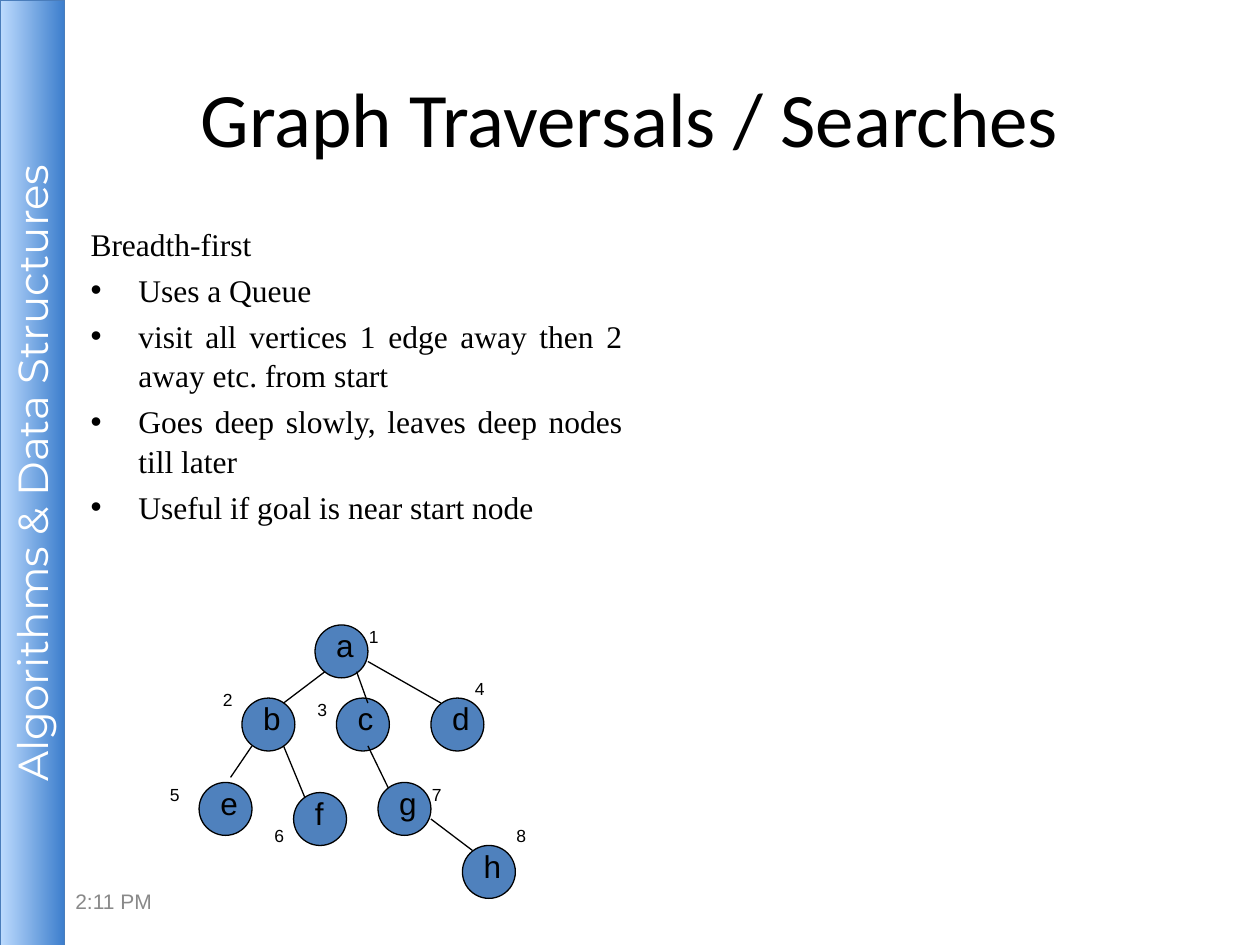
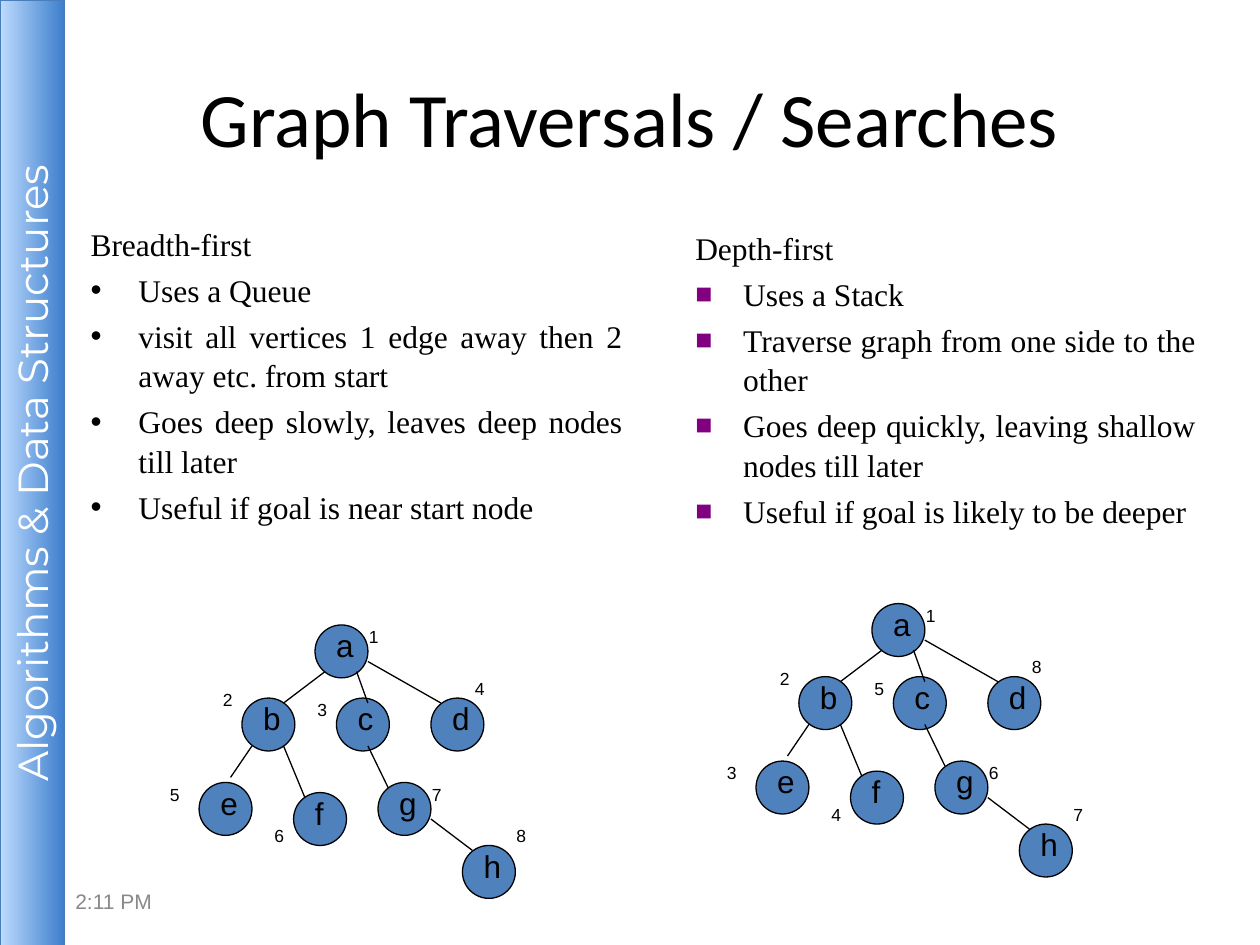
from lxml import etree
from pptx import Presentation
from pptx.dml.color import RGBColor
from pptx.enum.shapes import MSO_CONNECTOR, MSO_SHAPE
from pptx.enum.text import MSO_ANCHOR, MSO_AUTO_SIZE, PP_ALIGN
from pptx.oxml.ns import qn
from pptx.util import Inches, Pt

OVAL, RECT = MSO_SHAPE.OVAL, MSO_SHAPE.RECTANGLE
STRAIGHT = MSO_CONNECTOR.STRAIGHT
MIDDLE = MSO_ANCHOR.MIDDLE
GROW = MSO_AUTO_SIZE.SHAPE_TO_FIT_TEXT
LEFT, CENTER, JUSTIFY = PP_ALIGN.LEFT, PP_ALIGN.CENTER, PP_ALIGN.JUSTIFY

COLORS = {
    "ink": "000000",
    "white": "FFFFFF",
    "node": "4F81BD",
    "light": "BDDBFE",
    "dark": "3E7FCD",
    "edge": "4A7DBB",
    "time": "898989",
    "mark": "800080",
}

# Tree layout, measured from the tree's top left corner.
NODE = 0.42
NODES = {
    "a": (1.25, 0.04),
    "b": (0.67, 0.62),
    "c": (1.42, 0.62),
    "d": (2.17, 0.62),
    "e": (0.33, 1.29),
    "f": (1.08, 1.37),
    "g": (1.75, 1.29),
    "h": (2.42, 1.79),
}
EDGES = [
    (1.33, 0.41, 1, 0.66),
    (0.75, 1, 0.58, 1.25),
    (1.58, 0.41, 1.67, 0.66),
    (1.67, 0.33, 2.25, 0.66),
    (1, 1, 1.17, 1.41),
    (1.67, 1, 1.83, 1.33),
    (2.17, 1.58, 2.5, 1.83),
]
RANKS = {
    "a": (1.58, 0),
    "b": (0.42, 0.5),
    "c": (1.17, 0.58),
    "d": (2.42, 0.41),
    "e": (0, 1.25),
    "f": (0.83, 1.58),
    "g": (2.08, 1.25),
    "h": (2.75, 1.58),
}

BREADTH = {
    "box": (0.62, 1.72, 4.42, 4.95),
    "head": "Breadth-first",
    "points": [
        "Uses a Queue",
        "visit all vertices 1 edge away then 2 away etc. from start",
        "Goes deep slowly, leaves deep nodes till later",
        "Useful if goal is near start node",
    ],
    "bullet": "•",
    "tint": "ink",
    "scale": 100,
    "tree": (1.25, 4.92),
    "order": "abcdefgh",
}
DEPTH = {
    "box": (5.42, 1.75, 4.17, 4.95),
    "head": "Depth-first",
    "points": [
        "Uses a Stack",
        "Traverse graph from one side to the other",
        "Goes deep quickly, leaving shallow nodes till later",
        "Useful if goal is likely to be deeper",
    ],
    "bullet": "■",
    "tint": "mark",
    "scale": 90,
    "tree": (5.67, 4.75),
    "order": "abefcghd",
}


def color(name):
    return RGBColor.from_string(COLORS[name])


def inches(*sizes):
    return [Inches(size) for size in sizes]


def style(para, size, font, tint="ink", align=LEFT):
    para.alignment = align
    for run in para.runs:
        run.font.size = Pt(size)
        run.font.name = font
        run.font.color.rgb = color(tint)


def add_text(shapes, box, text, size, font="Arial", tint="ink", align=LEFT):
    frame = shapes.add_textbox(*inches(*box)).text_frame
    frame.word_wrap = True
    frame.text = text
    style(frame.paragraphs[0], size, font, tint, align)
    return frame


def add_label(shapes, box, text, size):
    """Add a short text whose box fits it without wrapping."""
    frame = add_text(shapes, box, text, size)
    frame.word_wrap = False
    frame.auto_size = GROW


def set_line(line, tint):
    line.color.rgb = color(tint)
    line.width = Pt(0.75)


def add_band(slide):
    """Add the turned course name along the left edge."""
    band = slide.shapes.add_shape(RECT, *inches(-3.5, 3.5, 7.51, 0.51))
    band.rotation = 270
    band.shadow.inherit = False
    band.fill.gradient()
    band.fill.gradient_angle = 270
    for stop, tint, place in zip(band.fill.gradient_stops, ("light", "dark"), (0, 1)):
        stop.color.rgb = color(tint)
        stop.position = place
    set_line(band.line, "edge")
    frame = band.text_frame
    frame.margin_left = frame.margin_right = Inches(0.04)
    frame.margin_top = frame.margin_bottom = Inches(0.04)
    frame.vertical_anchor = MIDDLE
    frame.text = "Algorithms & Data Structures"
    style(frame.paragraphs[0], 24, "Montserrat", "white", CENTER)


def add_bullet(para, char, tint, scale):
    props = para._p.get_or_add_pPr()
    shade = etree.SubElement(props, qn("a:buClr"))
    etree.SubElement(shade, qn("a:srgbClr"), val=COLORS[tint])
    etree.SubElement(props, qn("a:buSzPct"), val=str(scale * 1000))
    etree.SubElement(props, qn("a:buFont"), typeface="Arial")
    etree.SubElement(props, qn("a:buChar"), char=char)


def add_points(slide, search):
    frame = add_text(slide.shapes, search["box"], search["head"], 18, "Times New Roman")
    for point in search["points"]:
        para = frame.add_paragraph()
        para.text = point
        add_bullet(para, search["bullet"], search["tint"], search["scale"])
        para.space_before = Pt(3.6)
        style(para, 18, "Times New Roman", align=JUSTIFY)
    for para in frame.paragraphs:
        para.line_spacing = 1.05
        props = para._p.get_or_add_pPr()
        props.set("marL", str(Inches(0.38)))
        props.set("indent", str(Inches(-0.38)))


def add_node(shapes, name, x, y):
    node = shapes.add_shape(OVAL, *inches(x, y, NODE, NODE))
    node.shadow.inherit = False
    node.fill.solid()
    node.fill.fore_color.rgb = color("node")
    set_line(node.line, "ink")
    width = 0.27 if name == "f" else 0.34
    add_label(shapes, (x + 0.07, y - 0.04, width, 0.4), name, 18)


def add_edge(shapes, *ends):
    edge = shapes.add_connector(STRAIGHT, *inches(*ends))
    set_line(edge.line, "ink")
    etree.SubElement(edge._element.spPr, qn("a:effectLst"))


def add_tree(slide, search):
    """Add the tree with each node's rank in the visiting order."""
    left, top = search["tree"]
    shapes = slide.shapes.add_group_shape().shapes
    for name, (x, y) in NODES.items():
        add_node(shapes, name, left + x, top + y)
    for x1, y1, x2, y2 in EDGES:
        add_edge(shapes, left + x1, top + y1, left + x2, top + y2)
    for rank, name in enumerate(search["order"], 1):
        x, y = RANKS[name]
        add_label(shapes, (left + x, top + y, 0.28, 0.27), str(rank), 10)


def add_slide(deck, searches):
    slide = deck.slides.add_slide(deck.slide_layouts[6])
    add_band(slide)
    title = add_text(slide.shapes, (0.5, 0.3, 9, 1.25),
                     "Graph Traversals / Searches", 44, "Calibri", align=CENTER)
    title.vertical_anchor = MIDDLE
    for search in searches:
        add_points(slide, search)
        add_tree(slide, search)
    clock = add_text(slide.shapes, (0.5, 6.95, 2.33, 0.4), "2:11 PM", 12, tint="time")
    clock.vertical_anchor = MIDDLE


def main():
    deck = Presentation()
    deck.slide_width, deck.slide_height = inches(10, 7.5)
    add_slide(deck, [BREADTH])
    add_slide(deck, [BREADTH, DEPTH])
    deck.save("out.pptx")


if __name__ == "__main__":
    main()
